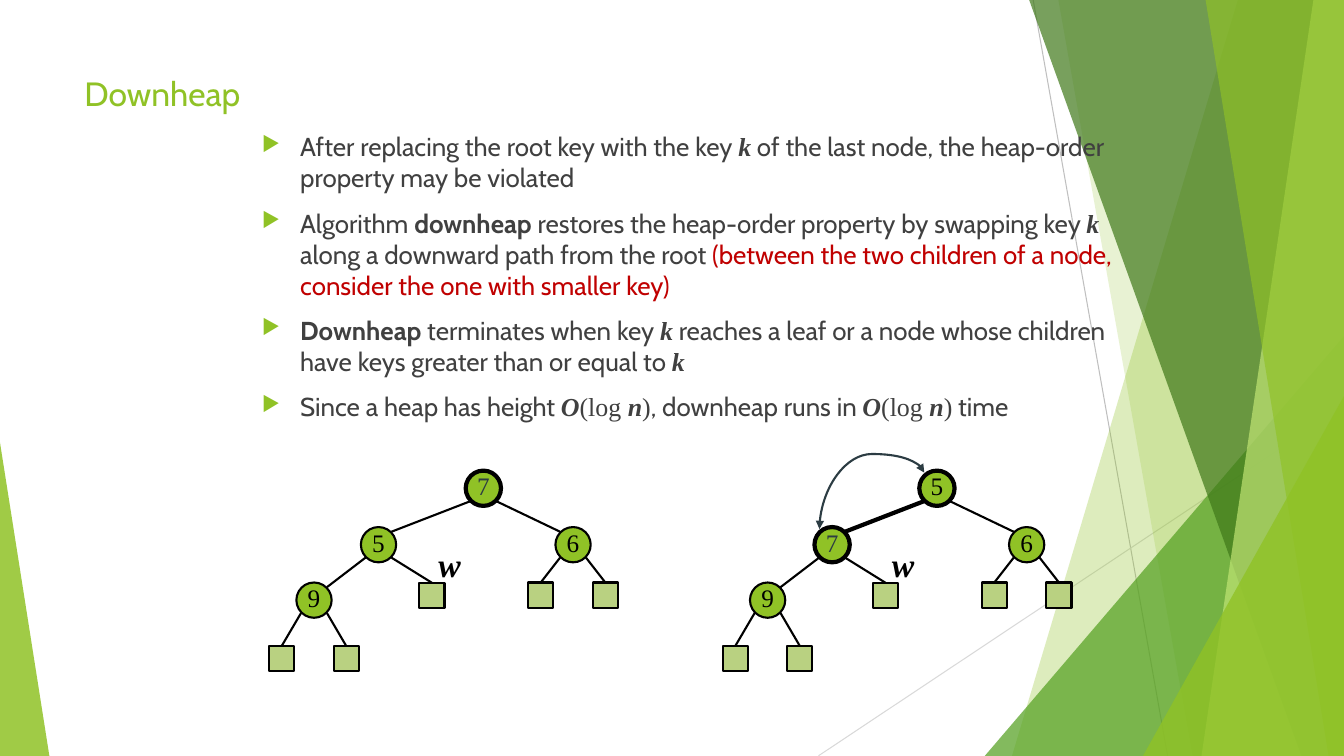
from lxml.etree import SubElement
from pptx import Presentation
from pptx.dml.color import RGBColor
from pptx.enum.shapes import MSO_CONNECTOR as Link, MSO_SHAPE as Form
from pptx.enum.text import MSO_ANCHOR as Anchor, MSO_AUTO_SIZE as Fit, PP_ALIGN as Align
from pptx.oxml.ns import qn
from pptx.util import Inches, Pt

COLUMNS, ROWS = 80, 45
COLORS = {
    "lime": "90C226", "leaf": "B9D181", "green": "54A021", "forest": "3F7819",
    "pale": "C0E474", "text": "404040", "slate": "2C3C43", "red": "C00000",
    "black": "000000", "gray": "BFBFBF", "silver": "D9D9D9",
}
SANS, SERIF = "Cabin", "Times New Roman"
NODE, LEAF, CORNER = 2.1, 1.5, 0.77
TREE_SHIFT = 27
NODES = {"root": (28.77, 29.07), "left": (22.53, 32.43),
         "right": (34.11, 32.43), "low": (18.69, 35.73)}
LEAVES = {"left": [(25.71, 35.45)], "right": [(32.19, 35.43), (36.03, 35.43)],
          "low": [(16.77, 39.21), (20.61, 39.21)]}
BRANCHES = [("root", "left"), ("root", "right"), ("left", "low")]
BANDS = [(73.68, 60.24, "lime", 30), (63, 70.98, "lime", 20), None,
         (61.26, 77.46, "forest", 70), (78.18, 71.52, "pale", 70),
         (71.76, 79.08, "lime", 65)]

BOLD = {"bold": True}
MATH = {"font": SERIF, "bold": True, "italic": True}
ROMAN = {"font": SERIF}
RED = {"color": "red"}
LOG_N = [("O", MATH), ("(log ", ROMAN), ("n", MATH), (")", ROMAN)]
POINTS = [
    [("After replacing the root key with the key ", {}), ("k", MATH),
     (" of the last node, the heap-order property may be violated", {})],
    [("Algorithm ", {}), ("downheap", BOLD),
     (" restores the heap-order property by swapping key ", {}), ("k", MATH),
     (" along a downward path from the root ", {}),
     ("(between the two children of a node, consider the one with smaller key)", RED)],
    [("Downheap", BOLD), (" terminates when key ", {}), ("k", MATH),
     (" reaches a leaf or a node whose children have keys greater than or equal to ", {}),
     ("k", MATH)],
    [("Since a heap has height ", {}), *LOG_N, (", downheap runs in ", {}), *LOG_N,
     (" time", {})],
]


def write(para, text, font=SANS, size=18.5, color="text", bold=False, italic=False):
    span = para.add_run()
    span.text = text
    span.font.name, span.font.size = font, Pt(size)
    span.font.bold, span.font.italic = bold, italic
    span.font.color.rgb = RGBColor.from_string(COLORS[color])


class Painter:
    def __init__(self, deck):
        self.cell = deck.slide_width / COLUMNS
        self.page = deck.slides.add_slide(deck.slide_layouts[6])
        self.shapes = self.page.shapes

    def grid(self, *lengths):
        return [round(length * self.cell) for length in lengths]

    def paint(self, shape, color, opacity=100, outline=None):
        shape.shadow.inherit = False
        shape.fill.solid()
        shape.fill.fore_color.rgb = RGBColor.from_string(COLORS[color])
        if opacity < 100:
            tint = shape.fill._xPr.find(".//" + qn("a:srgbClr"))
            SubElement(tint, qn("a:alpha")).set("val", str(opacity * 1000))
        if outline:
            shape.line.color.rgb = RGBColor.from_string(COLORS["black"])
            shape.line.width = Pt(outline)
        else:
            shape.line.fill.background()

    def band(self, top, bottom, color, opacity):
        corners = [(COLUMNS, 0), (COLUMNS, ROWS), (bottom, ROWS)]
        builder = self.shapes.build_freeform(*self.grid(top, 0), scale=1.0)
        builder.add_line_segments([self.grid(*corner) for corner in corners], close=True)
        self.paint(builder.convert_to_shape(), color, opacity)

    def triangle(self, left, top, width, peak, color, opacity):
        shape = self.shapes.add_shape(Form.ISOSCELES_TRIANGLE,
                                      *self.grid(left, top, width, ROWS - top))
        shape.adjustments[0] = peak
        self.paint(shape, color, opacity)

    def line(self, start, end, color="black", width=1.5, kind=Link.STRAIGHT, arrows=False):
        link = self.shapes.add_connector(kind, *self.grid(*start, *end))
        link.line.color.rgb = RGBColor.from_string(COLORS[color])
        link.line.width = Pt(width)
        if arrows:
            for tip in ("a:headEnd", "a:tailEnd"):
                SubElement(link.line._get_or_add_ln(), qn(tip)).set("type", "triangle")
        SubElement(link._element.spPr, qn("a:effectLst"))
        return link

    def swap_arrow(self, start, end, bend):
        properties = self.line(start, end, "slate", kind=Link.CURVE, arrows=True)._element.spPr
        properties.find(qn("a:xfrm")).set("rot", str(270 * 60000))
        guides = properties.find(".//" + qn("a:avLst"))
        guide = SubElement(guides, qn("a:gd"))
        guide.set("name", "adj1")
        guide.set("fmla", f"val {round(bend * 100000)}")

    def square(self, center):
        across, down = (place - LEAF / 2 for place in center)
        shape = self.shapes.add_shape(Form.RECTANGLE, *self.grid(across, down, LEAF, LEAF))
        self.paint(shape, "leaf", outline=1.5)

    def node(self, center, key, heavy):
        across, down = (place - NODE / 2 for place in center)
        shape = self.shapes.add_shape(Form.OVAL, *self.grid(across, down, NODE, NODE))
        self.paint(shape, "lime", outline=3 if heavy else 1.5)
        frame = shape.text_frame
        frame.margin_left = frame.margin_right = frame.margin_top = 0
        frame.margin_bottom = Inches(0.05)
        frame.vertical_anchor, frame.word_wrap = Anchor.MIDDLE, False
        para = frame.paragraphs[0]
        para.alignment = Align.CENTER
        write(para, key, font=SERIF, size=18, color="slate" if key == "7" else "black")

    def box(self, left, top, width, height, wrap=True):
        frame = self.shapes.add_textbox(*self.grid(left, top, width, height)).text_frame
        frame.word_wrap = wrap
        return frame

    def bullets(self, frame, points):
        for index, spans in enumerate(points):
            para = frame.add_paragraph() if index else frame.paragraphs[0]
            properties = para._p.get_or_add_pPr()
            properties.set("marL", str(Inches(0.38)))
            properties.set("indent", str(-Inches(0.38)))
            tint = SubElement(properties, qn("a:buClr"))
            SubElement(tint, qn("a:srgbClr")).set("val", COLORS["lime"])
            SubElement(properties, qn("a:buSzPct")).set("val", "80000")
            SubElement(properties, qn("a:buChar")).set("char", "▶")
            para.space_before = Pt(10 if index else 0)
            for text, style in spans:
                write(para, text, **style)

    def tree(self, shift, keys, heavy):
        def move(spot, across=0, down=0):
            return spot[0] + shift + across, spot[1] + down

        for name, key in zip(NODES, keys):
            self.node(move(NODES[name]), key, name in heavy)
        for parent, child in BRANCHES:
            start, end = NODES[parent], NODES[child]
            side = CORNER if end[0] > start[0] else -CORNER
            self.line(move(start, side, CORNER), move(end, -side, -CORNER),
                      width=3 if {parent, child} <= heavy else 1.5)
        for parent, leaves in LEAVES.items():
            for leaf in leaves:
                start = NODES[parent]
                side = CORNER if leaf[0] > start[0] else -CORNER
                self.line(move(start, side, CORNER), move(leaf, 0, -LEAF / 2))
                self.square(move(leaf))
        frame = self.box(25.5 + shift, 32.1, 2.52, 3, wrap=False)
        frame.auto_size = Fit.SHAPE_TO_FIT_TEXT
        frame.paragraphs[0].alignment = Align.CENTER
        write(frame.paragraphs[0], "w", size=24, color="black", **MATH)


def main():
    deck = Presentation()
    deck.slide_width, deck.slide_height = Inches(13.33), Inches(7.5)
    painter = Painter(deck)
    painter.line((61.5, 0), (69.5, ROWS), "gray", 0.75)
    painter.line((COLUMNS, 24.18), (48.72, ROWS), "silver", 0.75)
    for band in BANDS:
        if band:
            painter.band(*band)
        else:
            painter.triangle(58.62, 20, 21.38, 1, "green", 72)
    painter.triangle(68.04, 23.58, 11.96, 1, "lime", 80)
    painter.triangle(0, 26.34, 2.94, 0, "lime", 85)
    title = painter.box(4.44, 4.02, 56.4, 8.64)
    write(title.paragraphs[0], "Downheap", size=24, color="lime")
    painter.bullets(painter.box(15, 7.5, 52.5, 16), POINTS)
    painter.tree(0, "7569", {"root"})
    painter.tree(TREE_SHIFT, "5769", {"root", "left"})
    painter.swap_arrow((53.58, 32.94), (50.22, 26.7), -0.33)
    deck.save("out.pptx")


if __name__ == "__main__":
    main()
